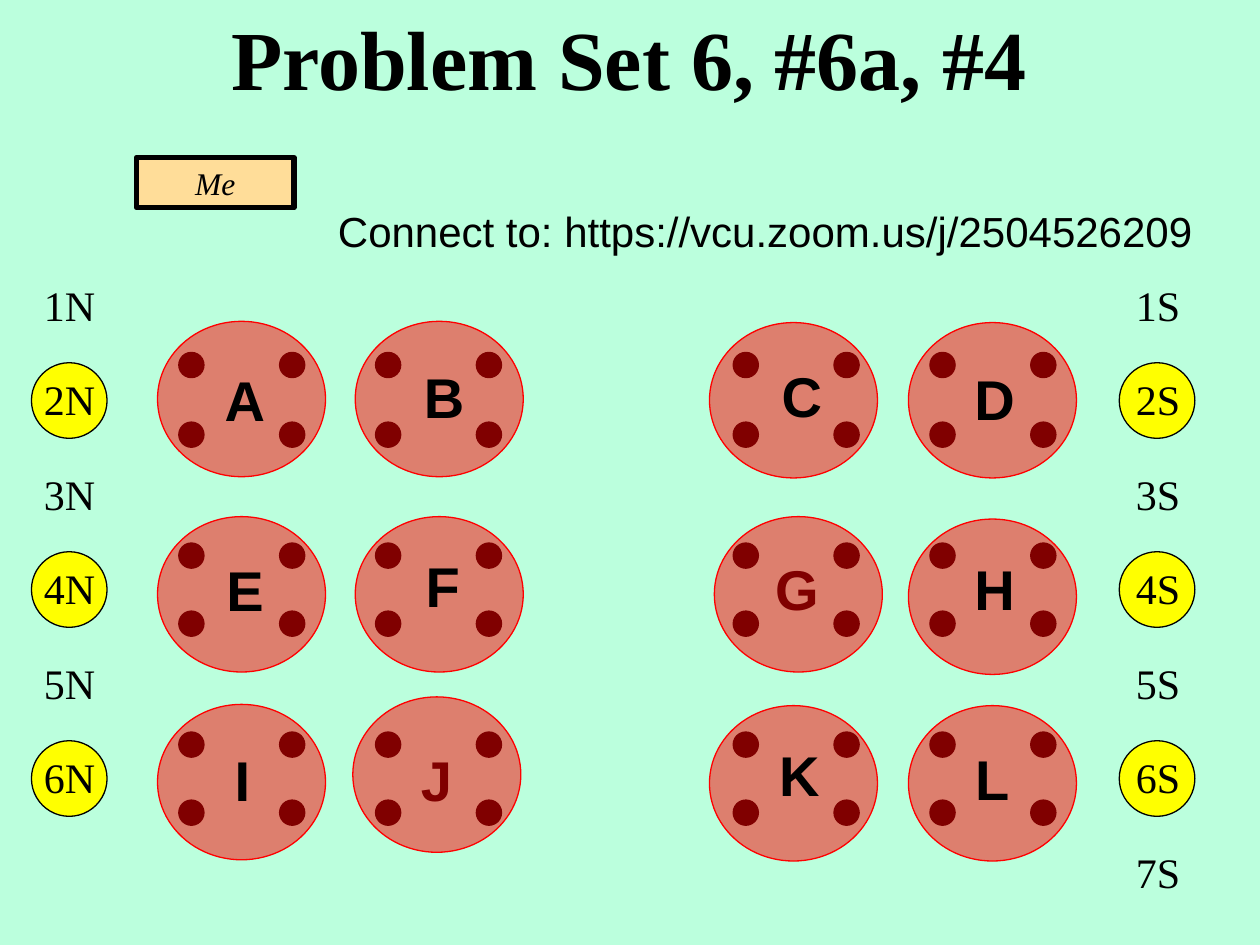
"""Build the classroom seating chart slide."""
from pptx import Presentation
from pptx.dml.color import RGBColor
from pptx.enum.shapes import MSO_SHAPE
from pptx.enum.text import MSO_ANCHOR, PP_ALIGN
from pptx.oxml.ns import qn
from pptx.util import Pt
from lxml.etree import SubElement

SERIF, SANS = "Times New Roman", "Arial"
BLACK, RED, YELLOW = "000000", "FF0000", "FFFF00"

# letter: (table left, table top, letter left, letter top)
TABLES = {
    "A": (90, 183.6, 108, 205.2),
    "B": (203, 183.6, 221.8, 203.8),
    "C": (405.4, 184.3, 426.2, 203),
    "D": (519.1, 184.3, 536.4, 204.5),
    "E": (90, 295.2, 108, 313.9),
    "F": (203, 295.2, 221, 311.8),
    "G": (408.2, 295.2, 423.4, 313.2),
    "H": (519.1, 296.6, 536.4, 313.2),
    "I": (90, 402.5, 106.6, 422.6),
    "J": (201.6, 398.2, 217.4, 422.6),
    "K": (405.4, 403.2, 424.8, 419.8),
    "L": (519.1, 403.2, 535, 421.9),
}
COVERED = "GJ"
SEAT_COLUMNS = (102.2, 214.6, 419, 531.4)
SEAT_ROWS = (201.4, 241.2, 310.3, 349.2, 418.3, 457.2)


def color(value):
    """Return the colour for a hex string."""
    return RGBColor.from_string(value)


def add_shape(slide, kind, box, fill, line=BLACK, weight=0.75, alpha=None):
    """Add a filled, outlined preset shape, optionally see-through."""
    sp = slide.shapes.add_shape(kind, *map(Pt, box))
    sp.shadow.inherit = False
    sp.fill.solid()
    sp.fill.fore_color.rgb = color(fill)
    sp.line.color.rgb = color(line)
    sp.line.width = Pt(weight)
    if alpha is not None:
        clr = sp._element.spPr.find(qn("a:solidFill")).find(qn("a:srgbClr"))
        SubElement(clr, qn("a:alpha")).set("val", str(alpha * 1000))
    return sp


def set_text(sp, text, size, font, align=PP_ALIGN.LEFT, bold=False, italic=False):
    """Write one formatted line into a shape."""
    tf = sp.text_frame
    tf.word_wrap = True
    tf.text = text
    p = tf.paragraphs[0]
    p.alignment = align
    f = p.runs[0].font
    f.size, f.name, f.bold, f.italic = Pt(size), font, bold, italic
    f.color.rgb = color(BLACK)


def add_text(slide, box, *args, **kwargs):
    """Add a text box holding one line."""
    set_text(slide.shapes.add_textbox(*map(Pt, box)), *args, **kwargs)


def add_side(slide, suffix, count, text_left, circle_left):
    """Add a column of numbered positions, circling the even ones."""
    for n in range(1, count + 1):
        top = 156 + 54 * (n - 1)
        if n % 2 == 0:
            add_shape(slide, MSO_SHAPE.OVAL, (circle_left, top - 2.7, 43.2, 43.2), YELLOW)
        add_text(slide, (text_left, top, 48, 36), f"{n}{suffix}", 24, SERIF)


def add_seats(slide):
    """Add the pair of seats on each side of every table."""
    for top in SEAT_ROWS:
        for left in SEAT_COLUMNS:
            for x in (left, left + 57.6):
                add_shape(slide, MSO_SHAPE.OVAL, (x, top, 14.4, 14.4), BLACK)


def add_tables(slide, letters):
    """Add the translucent round tables for the given letters."""
    for letter in letters:
        left, top = TABLES[letter][:2]
        add_shape(slide, MSO_SHAPE.OVAL, (left, top, 96, 88.8), RED, RED, alpha=50)


def add_letters(slide):
    """Add the letter naming each table."""
    for letter, (_, _, left, top) in TABLES.items():
        add_text(slide, (left, top, 64, 46), letter, 32, SANS, PP_ALIGN.CENTER, bold=True)


def main():
    """Build and save the slide."""
    prs = Presentation()
    prs.slide_width, prs.slide_height = Pt(720), Pt(540)
    s = prs.slides.add_slide(prs.slide_layouts[6])
    s.background.fill.solid()
    s.background.fill.fore_color.rgb = color("BBFFDD")

    add_side(s, "N", 6, 18, 18)
    add_side(s, "S", 7, 642, 639.6)
    desk = add_shape(s, MSO_SHAPE.RECTANGLE, (78, 90, 90, 28.8), "FFDD99", weight=3)
    set_text(desk, "Me", 18, SERIF, PP_ALIGN.CENTER, italic=True)
    desk.text_frame.vertical_anchor = MSO_ANCHOR.MIDDLE

    add_seats(s)
    add_tables(s, [t for t in TABLES if t not in COVERED])
    add_letters(s)
    add_tables(s, COVERED)

    add_text(s, (186, 114, 516, 36), "Connect to: https://vcu.zoom.us/j/2504526209", 24, SANS)
    add_text(s, (62.6, 0, 594, 65.5), "Problem Set 6, #6a, #4", 48, SERIF,
             PP_ALIGN.CENTER, bold=True)
    prs.save("out.pptx")


if __name__ == "__main__":
    main()
